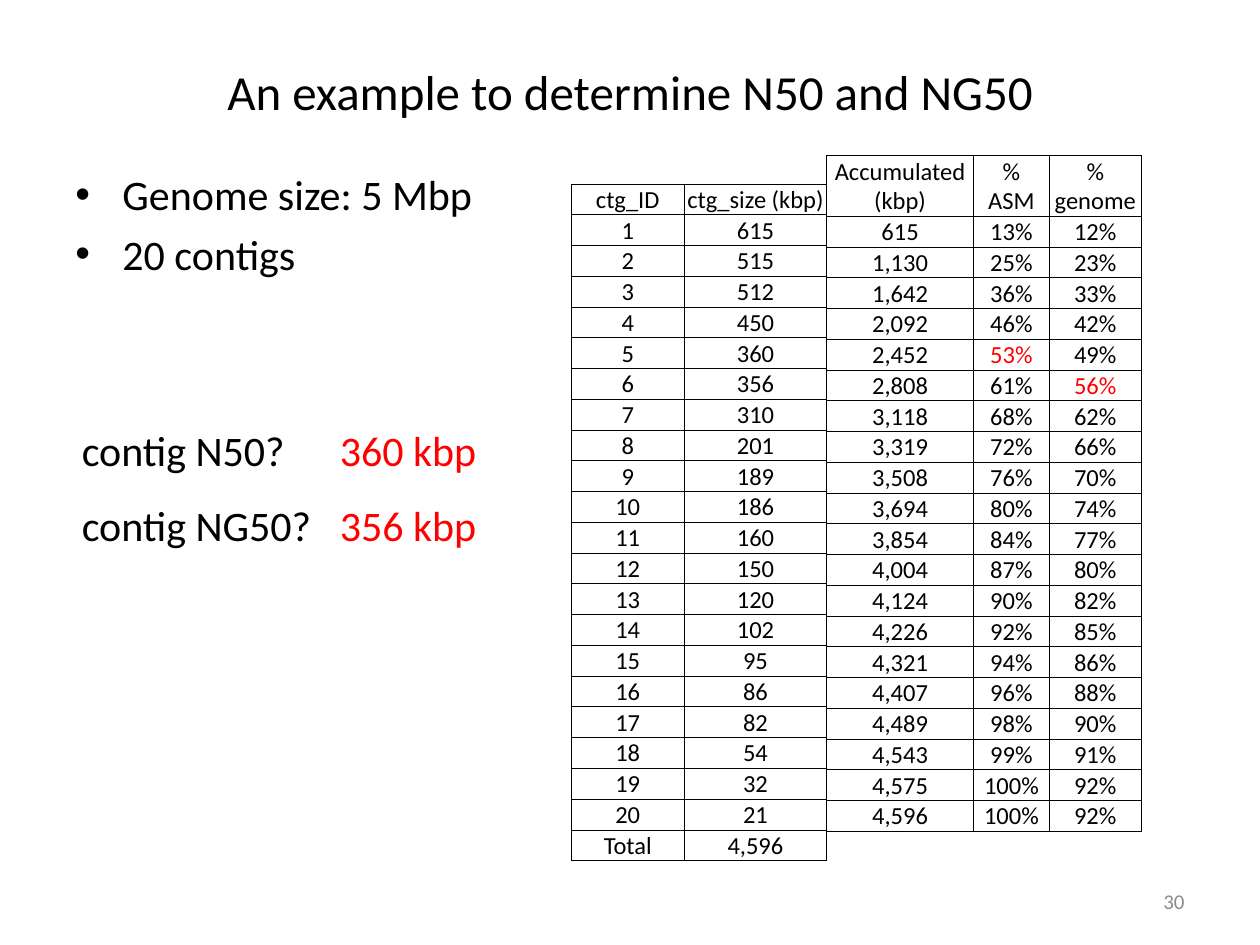
from itertools import accumulate

from lxml import etree
from pptx import Presentation
from pptx.dml.color import RGBColor
from pptx.enum.text import MSO_ANCHOR, PP_ALIGN
from pptx.oxml.ns import qn
from pptx.util import Cm, Pt

LEFT, CENTER, RIGHT = PP_ALIGN.LEFT, PP_ALIGN.CENTER, PP_ALIGN.RIGHT
TOP, MIDDLE, BOTTOM = MSO_ANCHOR.TOP, MSO_ANCHOR.MIDDLE, MSO_ANCHOR.BOTTOM
BLACK = RGBColor(0x00, 0x00, 0x00)
RED = RGBColor(0xFF, 0x00, 0x00)
GRAY = RGBColor(0x8C, 0x8C, 0x8C)
FONT = "Calibri"
GENOME_SIZE = 5000
ROW_HEIGHT = 0.62

deck = Presentation()
deck.slide_width, deck.slide_height = Cm(25.4), Cm(19.05)
page = deck.slides.add_slide(deck.slide_layouts[6])


def add_text(area, text, size, color=BLACK, align=LEFT, anchor=TOP, wrap=True):
    box = page.shapes.add_textbox(*[Cm(length) for length in area])
    frame = box.text_frame
    frame.word_wrap = wrap
    frame.vertical_anchor = anchor
    frame.text = text
    for para in frame.paragraphs:
        para.alignment = align
        for span in para.runs:
            span.font.name = FONT
            span.font.size = Pt(size)
            span.font.color.rgb = color
    return frame


def add_grid(left, top, widths, rows, header_height, red_cells):
    height = header_height + ROW_HEIGHT * (len(rows) - 1)
    frame = page.shapes.add_table(
        len(rows), len(widths), Cm(left), Cm(top), Cm(sum(widths)), Cm(height))
    table = frame.table
    table.first_row = table.horz_banding = False
    for column, width in zip(table.columns, widths):
        column.width = Cm(width)
    for r, values in enumerate(rows):
        table.rows[r].height = Cm(ROW_HEIGHT if r else header_height)
        for c, value in enumerate(values):
            cell = table.cell(r, c)
            cell.margin_left = cell.margin_right = cell.margin_top = Cm(0.02)
            cell.margin_bottom = Cm(0)
            cell.vertical_anchor = BOTTOM
            cell.text_frame.text = value
            for para in cell.text_frame.paragraphs:
                para.alignment = CENTER
                for span in para.runs:
                    span.font.name = FONT
                    span.font.size = Pt(14)
                    span.font.color.rgb = RED if (r, c) in red_cells else BLACK
            properties = cell._tc.get_or_add_tcPr()
            for side in ("a:lnL", "a:lnR", "a:lnT", "a:lnB"):
                line = etree.SubElement(properties, qn(side), w="6350")
                fill = etree.SubElement(line, qn("a:solidFill"))
                etree.SubElement(fill, qn("a:srgbClr"), val=str(BLACK))
            cell.fill.background()


add_text((1.27, 0.76, 22.86, 2.16), "An example to determine N50 and NG50",
         28, align=CENTER, anchor=MIDDLE)

facts = add_text((1.27, 3.28, 9.53, 3.07), "Genome size: 5 Mbp\n20 contigs", 24)
for index, para in enumerate(facts.paragraphs):
    properties = para._p.get_or_add_pPr()
    properties.set("marL", str(Cm(0.95)))
    properties.set("indent", str(Cm(-0.95)))
    etree.SubElement(properties, qn("a:buFont"), typeface="Arial")
    etree.SubElement(properties, qn("a:buChar"), char="•")
    if index:
        para.space_before = Pt(5)

questions = add_text((1.4, 7.92, 5.2, 3.25), "contig N50?\ncontig NG50?", 24, wrap=False)

sizes = [615, 515, 512, 450, 360, 356, 310, 201, 189, 186,
         160, 150, 120, 102, 95, 86, 82, 54, 32, 21]
assembly_size = sum(sizes)

contig_rows = [("ctg_ID", "ctg_size (kbp)")]
contig_rows += [(str(number), str(size)) for number, size in enumerate(sizes, 1)]
contig_rows.append(("Total", f"{assembly_size:,}"))
add_grid(11.51, 3.71, (2.29, 2.86), contig_rows, ROW_HEIGHT, ())

share_rows = [("Accumulated (kbp)", "%\nASM", "%\ngenome")]
share_rows += [
    (f"{length:,}", f"{round(100 * length / assembly_size)}%",
     f"{round(100 * length / GENOME_SIZE)}%")
    for length in accumulate(sizes)
]
add_grid(16.66, 3.14, (2.97, 1.52, 1.86), share_rows, 1.22, ((5, 1), (6, 2)))

answers = add_text((6.6, 7.92, 3.3, 3.25), "360 kbp\n356 kbp", 24, RED, wrap=False)
for frame in (questions, answers):
    for para in frame.paragraphs:
        para.line_spacing = 1.5

add_text((18.2, 17.65, 5.93, 1.02), "30", 12, GRAY, RIGHT, MIDDLE)

deck.save("out.pptx")
